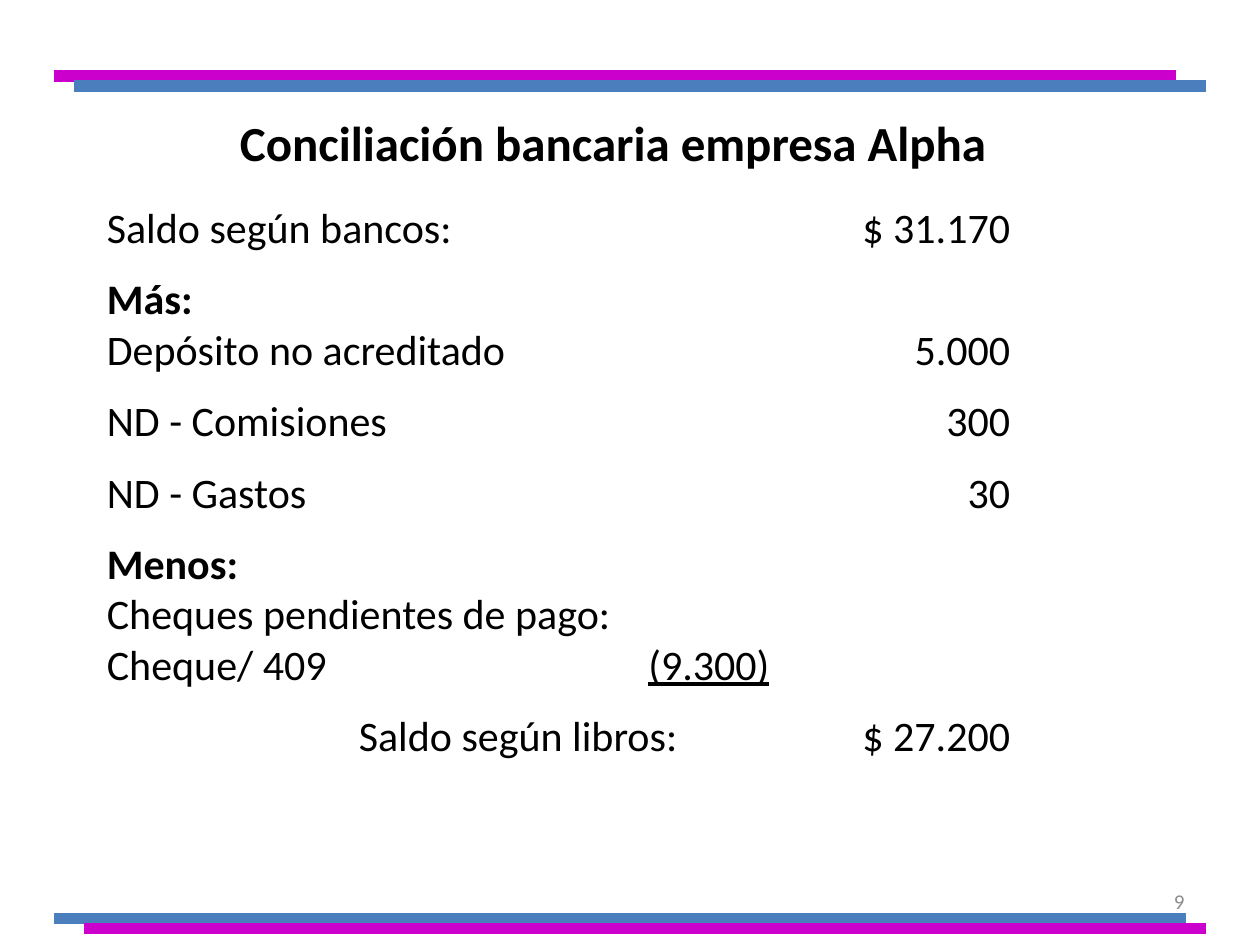
from pptx import Presentation, util as u
from pptx.dml.color import RGBColor
from pptx.enum import shapes, text
from pptx.oxml.ns import qn
from lxml import etree

THEME = dict(font="Calibri", ink="000000", gray="8C8C8C", pink="CC00CC",
             blue="4B7EBC", head=28, body=24, foot=12, gap=12, rule=6.75)
WIDE, HIGH = 10, 7.5
SUM = (("r", 7.17),)
CHECK = (("l", 4), ("r", 5.26))
TOTAL = (("l", 2),) + SUM

TITLE = "Conciliación bancaria empresa Alpha"
ROWS = [
    dict(runs=[("Saldo según bancos:\t$ 31.170", "")], tabs=SUM),
    dict(runs=[("Más:", "b")], gap=True),
    dict(runs=[("Depósito no acreditado\t5.000", "")], tabs=SUM),
    dict(runs=[("ND - Comisiones\t300", "")], tabs=SUM, gap=True),
    dict(runs=[("ND - Gastos\t30", "")], tabs=SUM, gap=True),
    dict(runs=[("Menos:", "b")], gap=True),
    dict(runs=[("Cheques pendientes de pago:", "")]),
    dict(runs=[("Cheque/ 409\t", ""), ("\t(9.300)", "u")], tabs=CHECK),
    dict(runs=[("\tSaldo según libros:\t$ 27.200", "")], tabs=TOTAL, gap=True),
]
RULES = [
    (0.43, 9.33, 0.6, "pink"),
    (0.59, 9.57, 0.68, "blue"),
    (0.43, 9.41, 7.29, "blue"),
    (0.67, 9.57, 7.37, "pink"),
]


def write(slide, rows, box, size, ink="ink", align="LEFT", anchor="TOP"):
    frame = slide.shapes.add_textbox(*map(u.Inches, box)).text_frame
    frame.word_wrap = True
    frame.vertical_anchor = getattr(text.MSO_ANCHOR, anchor)
    for i, row in enumerate(rows):
        para = frame.add_paragraph() if i else frame.paragraphs[0]
        para.alignment = getattr(text.PP_ALIGN, align)
        para.space_before = u.Pt(THEME["gap"] if row.get("gap") else 0)
        if "tabs" in row:
            stops = etree.SubElement(para._p.get_or_add_pPr(), qn("a:tabLst"))
            for side, pos in row["tabs"]:
                etree.SubElement(stops, qn("a:tab"),
                                 pos=str(u.Inches(pos)), algn=side)
        for words, style in row["runs"]:
            run = para.add_run()
            run.text = words
            font = run.font
            font.name, font.size = THEME["font"], u.Pt(THEME[size])
            font.bold, font.underline = style == "b", style == "u"
            font.color.rgb = RGBColor.from_string(THEME[ink])


def rule(slide, left, right, top, ink):
    line = slide.shapes.add_connector(
        shapes.MSO_CONNECTOR.STRAIGHT,
        *map(u.Inches, (left, top, right, top)))
    line.line.color.rgb = RGBColor.from_string(THEME[ink])
    line.line.width = u.Pt(THEME["rule"])
    etree.SubElement(line._element.spPr, qn("a:effectLst"))


def main():
    deck = Presentation()
    deck.slide_width, deck.slide_height = u.Inches(WIDE), u.Inches(HIGH)
    slide = deck.slides.add_slide(deck.slide_layouts[6])
    write(slide, [dict(runs=[(TITLE, "b")])], (0.28, 0.84, 9.17, 0.57),
          "head", align="CENTER")
    for item in RULES:
        rule(slide, *item)
    write(slide, [dict(runs=[("9", "")])], (7.17, 6.95, 2.33, 0.4),
          "foot", ink="gray", align="RIGHT", anchor="MIDDLE")
    write(slide, ROWS, (0.75, 1.55, 8.66, 4.75), "body")
    deck.save("out.pptx")


if __name__ == "__main__":
    main()
